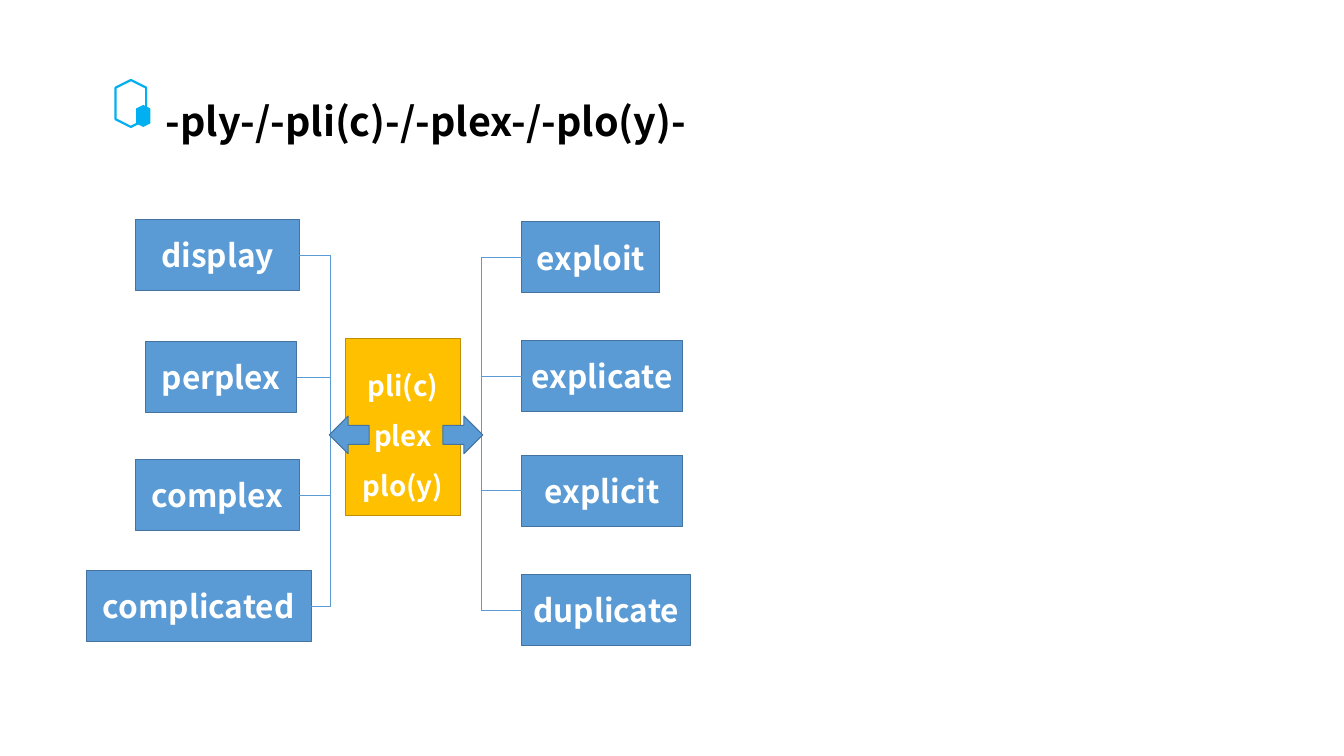
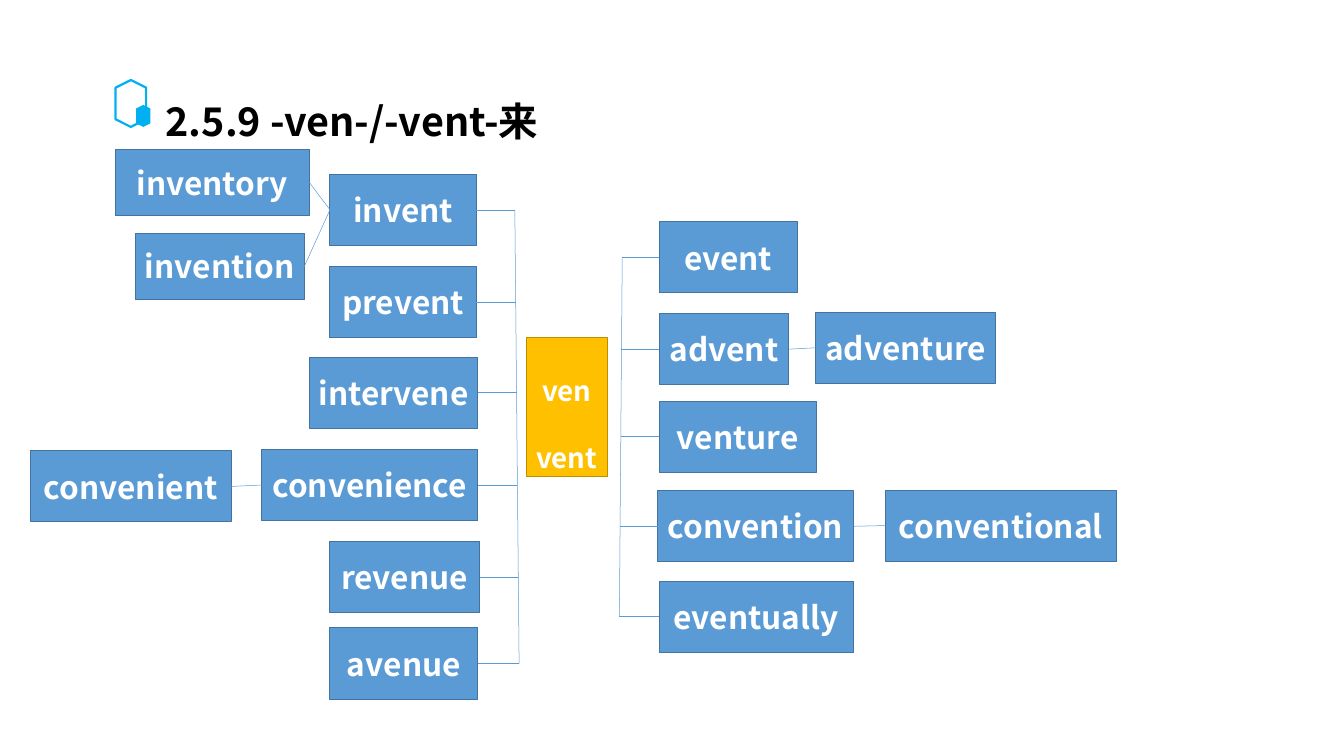
from dataclasses import dataclass

from lxml.etree import SubElement
from pptx import Presentation
from pptx.dml.color import RGBColor
from pptx.enum.shapes import MSO_CONNECTOR, MSO_SHAPE
from pptx.enum.text import MSO_ANCHOR, MSO_AUTO_SIZE, PP_ALIGN
from pptx.oxml.ns import qn
from pptx.util import Inches, Pt

# Shared look: the slide is a grid of one-inch columns and rows
COLUMNS, ROWS = 18.9, 10.63
FONT = "Noto Sans CJK SC"
COLORS = {
    "word": "5B9BD5", "word_line": "43739E", "core": "FFC000",
    "core_line": "BD8E00", "badge": "00B0F0", "title": "000000",
    "text": "FFFFFF", "background": "FFFFFF",
}
LEFT, RIGHT = -1, 1
SITE = {LEFT: 1, RIGHT: 3}  # connection site on each side of a rectangle


@dataclass
class Box:
    left: float
    top: float
    width: float
    height: float

    def inside(self, left, top, width, height):
        return Box(self.left + left, self.top + top, width, height)

    def emu(self):
        return [Inches(n) for n in (self.left, self.top, self.width, self.height)]


@dataclass
class Word:
    """gap: columns to the spine or parent; drop: rows below the area's or parent's top."""
    label: str
    gap: float
    width: float
    drop: float
    height: float = 1
    derived: tuple = ()


@dataclass
class Branch:
    side: int
    spine: float
    words: tuple
    lean: float = 0


def rgb(name):
    return RGBColor.from_string(COLORS[name])


def add_run(paragraph, text, size, color):
    run = paragraph.add_run()
    run.text = text
    run.font.size, run.font.bold, run.font.name = Pt(size), True, FONT
    run.font.color.rgb = rgb(color)
    SubElement(run.font._element, qn("a:ea")).set("typeface", FONT)


def add_figure(shapes, preset, box, fill=None, line=None, weight=1):
    figure = shapes.add_shape(preset, *box.emu())
    figure.shadow.inherit = False
    if fill:
        figure.fill.solid()
        figure.fill.fore_color.rgb = rgb(fill)
    else:
        figure.fill.background()
    if line:
        figure.line.color.rgb = rgb(line)
        figure.line.width = Pt(weight)
    else:
        figure.line.fill.background()
    return figure


def add_label_box(slide, box, labels, size, fill, spacing=1):
    label_box = add_figure(slide.shapes, MSO_SHAPE.RECTANGLE, box, fill, fill + "_line")
    frame = label_box.text_frame
    frame.word_wrap = True
    frame.vertical_anchor = MSO_ANCHOR.MIDDLE
    for index, label in enumerate(labels):
        paragraph = frame.add_paragraph() if index else frame.paragraphs[0]
        paragraph.alignment = PP_ALIGN.CENTER
        paragraph.line_spacing = spacing
        add_run(paragraph, label, size, "text")
    return label_box


def add_link(slide, start, end):
    points = [Inches(n) for n in (*start, *end)]
    link = slide.shapes.add_connector(MSO_CONNECTOR.STRAIGHT, *points)
    link.line.color.rgb = rgb("word")
    link.line.width = Pt(0.5)
    SubElement(link._element.spPr, qn("a:effectLst"))
    return link


# Heading: hexagon badge and title
def add_heading(slide, box, text):
    badge = slide.shapes.add_group_shape()
    outline = add_figure(badge.shapes, MSO_SHAPE.HEXAGON,
                         box.inside(0, 0, 0.66, 0.43), line="badge", weight=2.25)
    core = add_figure(badge.shapes, MSO_SHAPE.HEXAGON,
                      box.inside(0.35, 0.29, 0.31, 0.2), fill="badge")
    outline.rotation = core.rotation = 90

    title = slide.shapes.title
    title_box = box.inside(0.72, 0.08, box.width - 0.72, 0.77)
    title.left, title.top, title.width, title.height = title_box.emu()
    frame = title.text_frame
    frame.word_wrap = False
    frame.auto_size = MSO_AUTO_SIZE.NONE
    frame.vertical_anchor = MSO_ANCHOR.TOP
    frame.paragraphs[0].alignment = PP_ALIGN.LEFT
    add_run(frame.paragraphs[0], text, 40, "title")


# One word, followed outwards by the words derived from it
def add_word(slide, word, anchor, top, side):
    near = anchor + side * word.gap
    left = near if side == RIGHT else near - word.width
    box = Box(left, top + word.drop, word.width, word.height)
    word_box = add_label_box(slide, box, [word.label], 32, "word")
    far = near + side * word.width
    for child in word.derived:
        child_box, child_point = add_word(slide, child, far, box.top, side)
        link = add_link(slide, (far, box.top + box.height / 2), child_point)
        link.begin_connect(word_box, SITE[side])
        link.end_connect(child_box, SITE[-side])
    return word_box, (near, box.top + box.height / 2)


# One side of a map: words joined to a spine
def add_branch(slide, area, branch):
    spine = area.left + branch.spine
    placed = [add_word(slide, word, spine, area.top, branch.side)
              for word in branch.words]
    first, last = placed[0][1][1], placed[-1][1][1]

    def spine_point(y):
        return spine + branch.lean * ((y - first) / (last - first) - 0.5), y

    add_link(slide, spine_point(first), spine_point(last))
    for word_box, point in placed:
        link = add_link(slide, point, spine_point(point[1]))
        link.begin_connect(word_box, SITE[-branch.side])


# Word map: a root box between two branches
def add_word_map(slide, area, root, roots, spacing, branches, arrows=False):
    for branch in branches:
        add_branch(slide, area, branch)
    root_box = area.inside(*root)
    add_label_box(slide, root_box, roots, 28, "core", spacing)
    if not arrows:
        return
    width, height = 0.56, 0.53
    top = root[1] + (root[3] - height) / 2 + 0.11
    for branch in branches:
        to_left = branch.side == LEFT
        preset = MSO_SHAPE.LEFT_ARROW if to_left else MSO_SHAPE.RIGHT_ARROW
        tip = branch.spine + branch.side * 0.02
        left = tip if to_left else tip - width
        add_figure(slide.shapes, preset, area.inside(left, top, width, height),
                   "word", "word_line")


PLY_MAP = dict(
    area=Box(1.2, 3, 8.5, 6.1),
    root=(3.66, 1.76, 1.61, 2.49),
    roots=("pli(c)", "plex", "plo(y)"),
    spacing=1.5,
    arrows=True,
    branches=(
        Branch(LEFT, 3.45, (
            Word("display", 0.44, 2.3, 0.09),
            Word("perplex", 0.48, 2.12, 1.8),
            Word("complex", 0.44, 2.3, 3.46),
            Word("complicated", 0.27, 3.17, 5.02),
        )),
        Branch(RIGHT, 5.57, (
            Word("exploit", 0.57, 1.94, 0.12),
            Word("explicate", 0.57, 2.26, 1.79),
            Word("explicit", 0.57, 2.26, 3.4),
            Word("duplicate", 0.57, 2.37, 5.08),
        )),
    ),
)

VEN_MAP = dict(
    area=Box(0.4, 2, 15.3, 7.9),
    root=(7, 2.75, 1.14, 1.95),
    roots=("ven", "vent"),
    spacing=2,
    branches=(
        Branch(LEFT, 6.87, (
            Word("invent", 0.57, 2.06, 0.45, derived=(
                Word("inventory", 0.29, 2.73, -0.35, 0.93),
                Word("invention", 0.36, 2.38, 0.83, 0.93),
            )),
            Word("prevent", 0.57, 2.06, 1.75),
            Word("intervene", 0.55, 2.37, 3.02),
            Word("convenience", 0.55, 3.04, 4.32, derived=(
                Word("convenient", 0.43, 2.82, 0.02),
            )),
            Word("revenue", 0.52, 2.12, 5.61),
            Word("avenue", 0.55, 2.08, 6.83),
        ), lean=0.06),
        Branch(RIGHT, 8.33, (
            Word("event", 0.54, 1.94, 1.12),
            Word("advent", 0.54, 1.82, 2.41, derived=(
                Word("adventure", 0.38, 2.53, -0.02),
            )),
            Word("venture", 0.54, 2.21, 3.64),
            Word("convention", 0.52, 2.75, 4.9, derived=(
                Word("conventional", 0.45, 3.25, -0.01),
            )),
            Word("eventually", 0.54, 2.73, 6.17),
        ), lean=-0.04),
    ),
)


def main():
    deck = Presentation()
    deck.slide_width, deck.slide_height = Inches(COLUMNS), Inches(ROWS)
    background = deck.slide_master.background.fill
    background.solid()
    background.fore_color.rgb = rgb("background")
    title_only = deck.slide_layouts[5]
    for title, word_map in (
        ("-ply-/-pli(c)-/-plex-/-plo(y)-", PLY_MAP),
        ("2.5.9 -ven-/-vent-来", VEN_MAP),
    ):
        slide = deck.slides.add_slide(title_only)
        add_heading(slide, Box(1.51, 1.24, 9, 0.85), title)
        add_word_map(slide, **word_map)
    deck.save("out.pptx")


if __name__ == "__main__":
    main()
